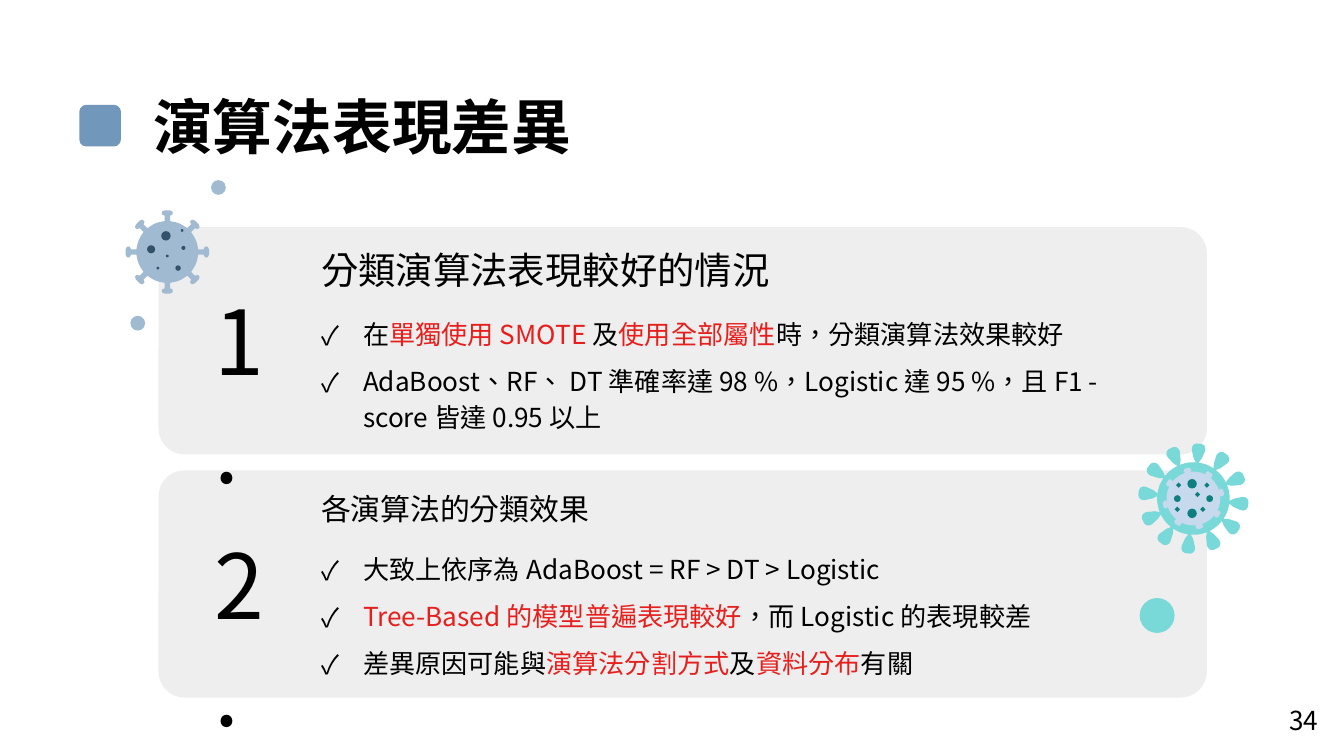
import dataclasses
import math

import lxml.etree
import pptx
import pptx.dml.color
import pptx.enum.shapes
import pptx.enum.text
import pptx.oxml.ns
import pptx.util

Inches = pptx.util.Inches
Shape = pptx.enum.shapes.MSO_SHAPE


@dataclasses.dataclass(frozen=True)
class Theme:
    """Font, colours and type sizes of the slide."""
    font: str = "Noto Sans CJK JP"
    ink: str = "000000"
    accent: str = "E71F1C"
    panel: str = "EEEEEE"
    marker: str = "7197BB"
    teal: str = "79D8D8"
    teal_core: str = "C7D9EC"
    teal_dot: str = "0E7F7F"
    blue: str = "A0BAD2"
    blue_dot: str = "34516C"
    title: int = 32
    number: int = 48
    body: int = 14


@dataclasses.dataclass(frozen=True)
class Box:
    """A rectangle in inches."""
    left: float
    top: float
    width: float
    height: float

    def inner(self, left, top, width, height):
        """Return a box offset from this one's top left corner."""
        return Box(self.left + left, self.top + top, width, height)

    def lengths(self):
        """Return left, top, width and height as lengths."""
        return [Inches(v) for v in (self.left, self.top, self.width, self.height)]

    def centre(self):
        """Return the middle point."""
        return self.left + self.width / 2, self.top + self.height / 2


THEME = Theme()
BULLET_INDENT = pptx.util.Pt(22.5)


def paint(shape, color):
    """Give a shape a plain fill without line or shadow."""
    shape.shadow.inherit = False
    shape.fill.solid()
    shape.fill.fore_color.rgb = pptx.dml.color.RGBColor.from_string(color)
    shape.line.fill.background()
    return shape


def add_preset(shapes, kind, box, color):
    """Add a painted preset shape."""
    return paint(shapes.add_shape(kind, *box.lengths()), color)


def add_dot(shapes, x, y, size, color, kind=Shape.OVAL):
    """Add a small shape centred on a point."""
    add_preset(shapes, kind, Box(x - size / 2, y - size / 2, size, size), color)


def add_frame(page, box):
    """Add a wrapping text box and return its frame."""
    frame = page.shapes.add_textbox(*box.lengths()).text_frame
    frame.word_wrap = True
    return frame


def add_span(para, text, size, color=THEME.ink, bold=False):
    """Add one run with its language and its Latin and East Asian font."""
    span = para.add_run()
    span.text = text
    span.font.size = pptx.util.Pt(size)
    span.font.bold = bold
    span.font.name = THEME.font
    span.font.color.rgb = pptx.dml.color.RGBColor.from_string(color)
    span.font._element.set("lang", "zh-TW")
    east_asian = lxml.etree.SubElement(
        span.font._element, pptx.oxml.ns.qn("a:ea"))
    east_asian.set("typeface", THEME.font)


def add_check_bullet(para):
    """Give a paragraph a hanging check mark."""
    props = para._p.get_or_add_pPr()
    props.set("marL", str(BULLET_INDENT))
    props.set("indent", str(-BULLET_INDENT))
    qn = pptx.oxml.ns.qn
    color = lxml.etree.SubElement(props, qn("a:buClr"))
    lxml.etree.SubElement(color, qn("a:srgbClr")).set("val", THEME.ink)
    lxml.etree.SubElement(props, qn("a:buFont")).set("typeface", THEME.font)
    lxml.etree.SubElement(props, qn("a:buChar")).set("char", "✓")


def add_title(page, box, text):
    """Place the square marker and the title."""
    marker = box.inner(0, 0.16, 0.31, 0.31)
    add_preset(page.shapes, Shape.ROUNDED_RECTANGLE, marker, THEME.marker)
    frame = add_frame(page, box.inner(0.45, 0, box.width - 0.45, box.height))
    add_span(frame.paragraphs[0], text, THEME.title, bold=True)


def add_page_number(page, box, number):
    """Place the page number."""
    para = add_frame(page, box).paragraphs[0]
    para.alignment = pptx.enum.text.PP_ALIGN.CENTER
    add_span(para, number, THEME.body)


def add_panel(page, box):
    """Place the rounded panel behind a card."""
    panel = add_preset(page.shapes, Shape.ROUNDED_RECTANGLE, box, THEME.panel)
    panel.adjustments[0] = 0.115


def add_card_text(page, box, number, heading, heading_size, points):
    """Place a card's texts; words between asterisks are accented."""
    frame = add_frame(page, box.inner(1.11, 0.1, box.width - 1.32, 1.48))
    para = frame.paragraphs[0]
    para.space_after = pptx.util.Pt(12)
    add_span(para, heading, heading_size)
    for point in points:
        para = frame.add_paragraph()
        add_check_bullet(para)
        para.line_spacing = 1.14
        para.space_after = pptx.util.Pt(6)
        for index, text in enumerate(point.split("*")):
            if text:
                add_span(para, text, THEME.body,
                         THEME.accent if index % 2 else THEME.ink)
    label = add_frame(page, box.inner(0.32, 0.39, 0.69, 0.91))
    add_span(label.paragraphs[0], number, THEME.number)


def add_spiked_disc(shapes, centre, count, start, profile, color):
    """Draw a disc with equal spikes; profile lists radius and half width."""
    sides = [(r, -w) for r, w in profile] + [(r, w) for r, w in reversed(profile)]
    base = profile[0][0]
    step = 2 * math.pi / count
    outline = []
    for index in range(count):
        angle = math.radians(start) + index * step
        polar = [(math.hypot(r, w), angle + math.atan2(w, r)) for r, w in sides]
        polar += [(base, angle + step * part) for part in (0.35, 0.5, 0.65)]
        outline += [(Inches(centre[0] + r * math.cos(a)),
                     Inches(centre[1] + r * math.sin(a))) for r, a in polar]
    builder = shapes.build_freeform(*outline[0])
    builder.add_line_segments(outline[1:], close=True)
    paint(builder.convert_to_shape(), color)


def add_teal_virus(page, box):
    """Place the teal virus and its loose drop."""
    shapes = page.shapes.add_group_shape().shapes
    x, y = box.centre()
    lobe = [(0.27, 0.01), (0.3, 0.03), (0.33, 0.04), (0.36, 0.05),
            (0.38, 0.05), (0.4, 0.04), (0.41, 0.02)]
    add_spiked_disc(shapes, (x, y), 12, -84, lobe, THEME.teal)
    bump = [(0.2, 0.02), (0.21, 0.03), (0.23, 0.02)]
    add_spiked_disc(shapes, (x, y), 8, -57, bump, THEME.teal_core)
    for dx, dy, size in [(-0.01, -0.11, 0.07), (-0.01, 0.11, 0.07),
                         (0.12, 0, 0.05), (-0.12, 0, 0.05)]:
        add_dot(shapes, x + dx, y + dy, size, THEME.teal_dot)
    for dx, dy in [(0.03, -0.03), (0.1, -0.1), (0.07, 0.08),
                   (-0.11, -0.1), (-0.12, 0.08)]:
        add_dot(shapes, x + dx, y + dy, 0.04, THEME.teal_dot, Shape.DIAMOND)
    add_dot(shapes, x - 0.27, y + 0.87, 0.26, THEME.teal)


def add_blue_virus(page, box):
    """Place the blue virus and its two loose drops."""
    shapes = page.shapes.add_group_shape().shapes
    x, y = box.centre()
    spike = [(0.23, 0.02), (0.27, 0.02), (0.28, 0.04), (0.3, 0.04), (0.31, 0.02)]
    add_spiked_disc(shapes, (x, y), 8, 0, spike, THEME.blue)
    for dx, dy, size in [(-0.01, -0.12, 0.07), (0.11, -0.16, 0.02),
                         (0.12, -0.03, 0.03), (0, 0.03, 0.02),
                         (-0.07, 0.12, 0.02), (-0.12, -0.02, 0.06),
                         (0.08, 0.12, 0.04)]:
        add_dot(shapes, x + dx, y + dy, size, THEME.blue_dot)
    for dx, dy in [(-0.22, 0.53), (0.38, -0.48)]:
        add_dot(shapes, x + dx, y + dy, 0.11, THEME.blue)


def main():
    """Build and save the slide."""
    deck = pptx.Presentation()
    deck.slide_width = Inches(10)
    deck.slide_height = deck.slide_width * 9 // 16
    page = deck.slides.add_slide(deck.slide_layouts[6])
    cards = [
        ("1.", "分類演算法表現較好的情況", 20, [
            "在*單獨使用 SMOTE *及*使用全部屬性*時，分類演算法效果較好",
            "AdaBoost、RF、 DT 準確率達 98 %，Logistic 達 95 %，且 F1 - score 皆達 0.95 以上"]),
        ("2.", "各演算法的分類效果", 16, [
            "大致上依序為 AdaBoost = RF > DT > Logistic",
            "*Tree-Based 的模型普遍表現較好*，而 Logistic 的表現較差",
            "差異原因可能與*演算法分割方式*及*資料分布*有關"]),
    ]
    boxes = [Box(1.18, 1.69 + index * 1.81, 7.8, 1.69) for index in range(len(cards))]
    add_title(page, Box(0.59, 0.62, 8.86, 0.64), "演算法表現差異")
    add_page_number(page, Box(9.4, 5.19, 0.6, 0.43), "34")
    for box in boxes:
        add_panel(page, box)
    for box, card in zip(boxes, cards):
        add_card_text(page, box, *card)
    add_teal_virus(page, Box(8.47, 3.3, 0.82, 0.82))
    add_blue_virus(page, Box(0.93, 1.56, 0.63, 0.63))
    deck.save("out.pptx")


if __name__ == "__main__":
    main()
